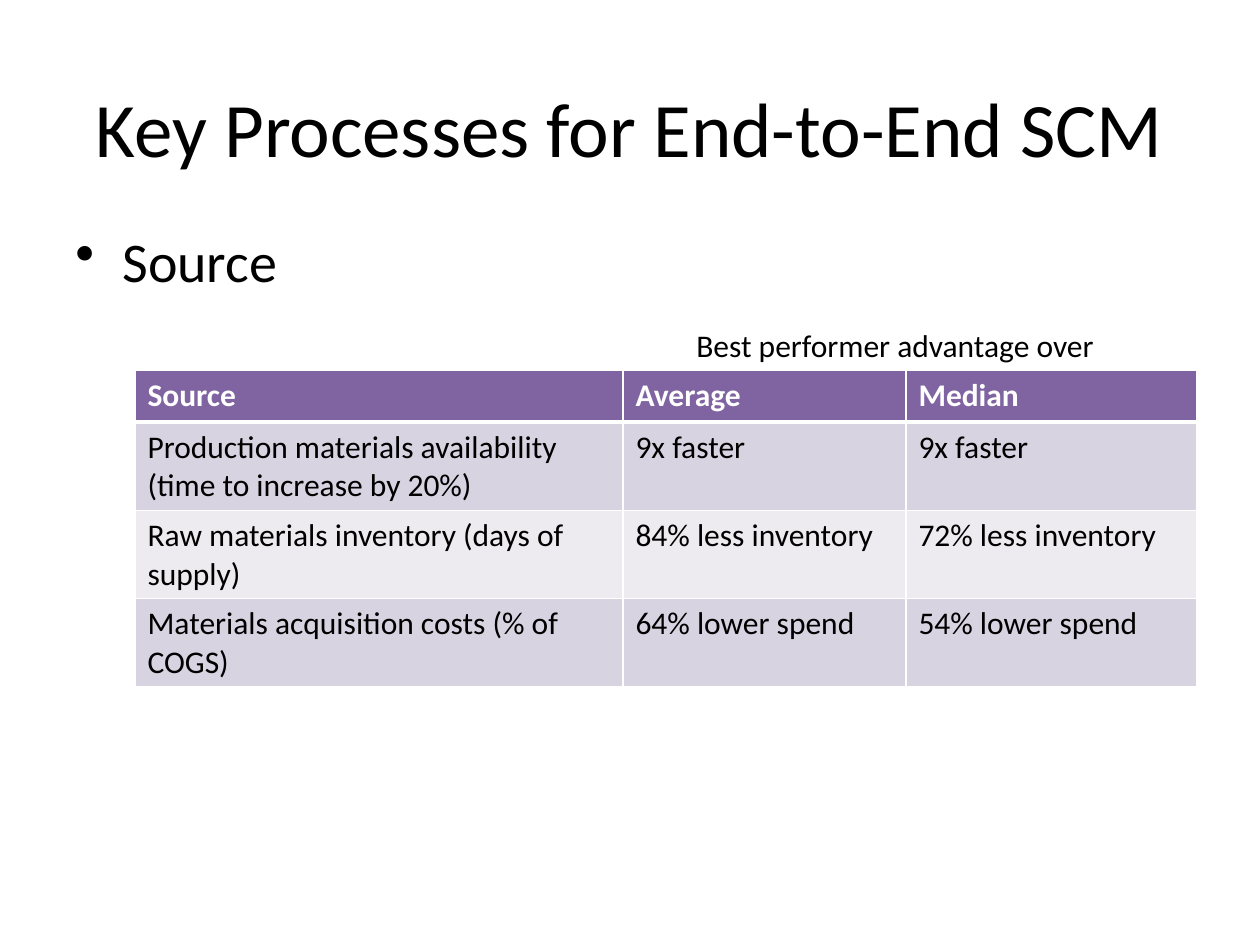
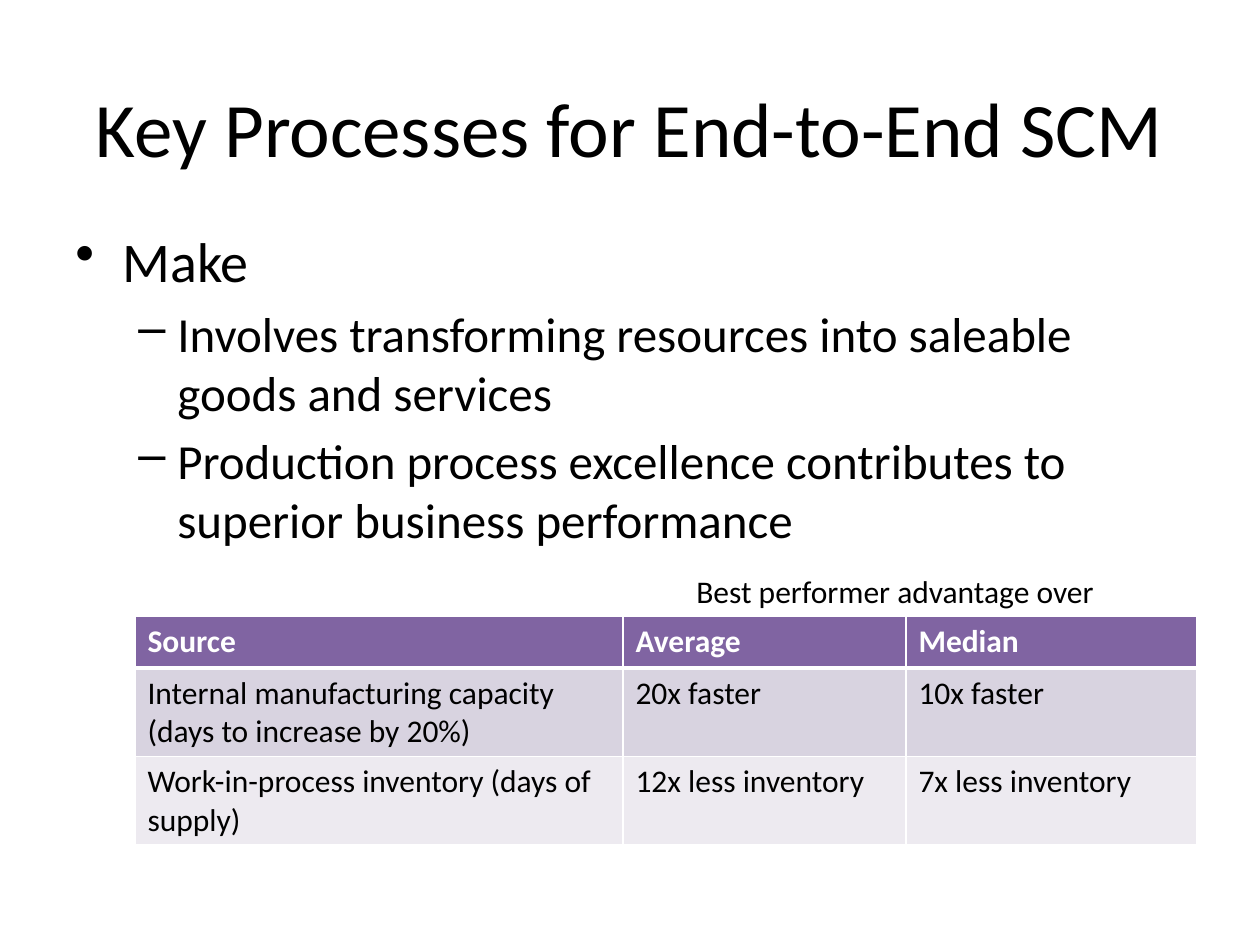
from lxml import etree
from pptx import Presentation
from pptx.dml.color import RGBColor
from pptx.enum import text
from pptx.oxml import ns
from pptx.util import Emu, Pt

PX = 914400 // 126
FONT = "Calibri"
BLACK, WHITE, PURPLE = "000000", "FFFFFF", "8064A2"
BANDS = ("D8D3E0", "EDEAF0")

TITLE = "Key Processes for End-to-End SCM"
CAPTION = "Best performer advantage over"
HEADER = ("Source", "Average", "Median")

# Outline entries are (level, wording).
SLIDES = [
    {
        "outline": [(0, "Source")],
        "table_top": 370,
        "rows": [
            ("Production materials availability (time to increase by 20%)", "9x faster", "9x faster"),
            ("Raw materials inventory (days of supply)", "84% less inventory", "72% less inventory"),
            ("Materials acquisition costs (% of COGS)", "64% lower spend", "54% lower spend"),
        ],
    },
    {
        "outline": [
            (0, "Make"),
            (1, "Involves transforming resources into saleable goods and services"),
            (1, "Production process excellence contributes to superior business performance"),
        ],
        "table_top": 616,
        "rows": [
            ("Internal manufacturing capacity (days to increase by 20%)", "20x faster", "10x faster"),
            ("Work-in-process inventory (days of supply)", "12x less inventory", "7x less inventory"),
        ],
    },
]

TITLE_BOX = (63, 48, 1134, 157)
OUTLINE_BOX = (63, 220, 1134, 624)
# Per outline level: bullet, text size in points, text indent and hanging indent in pixels.
LEVELS = (("\u2022", 32, 47, 47), ("\u2013", 28, 102, 39))
TABLE_LEFT, COLUMNS = 135, (488, 283, 291)
HEADER_HEIGHT, ROW_HEIGHT = 52, 88
CAPTION_LEFT, CAPTION_WIDTH, CAPTION_HEIGHT = 684, 446, 50


def px(*lengths):
    """Turn pixel lengths into EMU."""
    return [Emu(length * PX) for length in lengths]


def color(hex_value):
    """Turn a hex string into a colour."""
    return RGBColor.from_string(hex_value)


def style(paragraph, size, hex_value=BLACK, bold=False):
    """Set the font of a whole paragraph."""
    font = paragraph.font
    font.name, font.size, font.bold = FONT, Pt(size), bold
    font.color.rgb = color(hex_value)


def add_title(slide):
    """Place and format the title placeholder."""
    title = slide.shapes.title
    title.left, title.top, title.width, title.height = px(*TITLE_BOX)
    frame = title.text_frame
    frame.text = TITLE
    frame.vertical_anchor = text.MSO_ANCHOR.MIDDLE
    frame.paragraphs[0].alignment = text.PP_ALIGN.CENTER
    style(frame.paragraphs[0], 44)


def add_outline(slide, entries):
    """Add the bulleted outline under the title."""
    frame = slide.shapes.add_textbox(*px(*OUTLINE_BOX)).text_frame
    frame.word_wrap = True
    frame.text = "\n".join(wording for _, wording in entries)
    for paragraph, (level, _) in zip(frame.paragraphs, entries):
        bullet, size, indent, hanging = LEVELS[level]
        paragraph.level = level
        paragraph.space_before = Pt(size * 0.2)
        style(paragraph, size)
        properties = paragraph._p.get_or_add_pPr()
        properties.set("marL", str(indent * PX))
        properties.set("indent", str(-hanging * PX))
        mark = etree.Element(ns.qn("a:buChar"), char=bullet)
        properties.find(ns.qn("a:defRPr")).addprevious(mark)


def add_borders(cell, top, bottom):
    """Draw white cell borders; top and bottom widths are in points."""
    properties = cell._tc.get_or_add_tcPr()
    for side, width in (("L", 1), ("R", 1), ("T", top), ("B", bottom)):
        line = etree.SubElement(properties, ns.qn(f"a:ln{side}"), w=str(Pt(width)))
        fill = etree.SubElement(line, ns.qn("a:solidFill"))
        etree.SubElement(fill, ns.qn("a:srgbClr"), val=WHITE)


def add_comparison(slide, top, rows):
    """Add the banded table of advantages."""
    grid = [HEADER, *rows]
    heights = [HEADER_HEIGHT] + [ROW_HEIGHT] * len(rows)
    table = slide.shapes.add_table(
        len(grid), len(COLUMNS), *px(TABLE_LEFT, top, sum(COLUMNS), sum(heights))).table
    for column, width in zip(table.columns, px(*COLUMNS)):
        column.width = width
    for r, (wordings, height) in enumerate(zip(grid, px(*heights))):
        table.rows[r].height = height
        is_header = r == 0
        for c, wording in enumerate(wordings):
            cell = table.cell(r, c)
            cell.text = wording
            style(cell.text_frame.paragraphs[0], 18, WHITE if is_header else BLACK, is_header)
            add_borders(cell, 3 if r == 1 else 1, 3 if is_header else 1)
            cell.fill.solid()
            cell.fill.fore_color.rgb = color(PURPLE if is_header else BANDS[(r - 1) % 2])


def add_caption(slide, table_top):
    """Add the caption that sits on the table's value columns."""
    frame = slide.shapes.add_textbox(*px(
        CAPTION_LEFT, table_top - CAPTION_HEIGHT, CAPTION_WIDTH, CAPTION_HEIGHT)).text_frame
    frame.word_wrap = True
    frame.text = CAPTION
    style(frame.paragraphs[0], 18)


def main():
    """Build and save the presentation."""
    deck = Presentation()
    deck.slide_width, deck.slide_height = px(1260, 945)
    title_only = deck.slide_layouts[5]
    for content in SLIDES:
        slide = deck.slides.add_slide(title_only)
        add_title(slide)
        add_outline(slide, content["outline"])
        add_comparison(slide, content["table_top"], content["rows"])
        add_caption(slide, content["table_top"])
    deck.save("out.pptx")


main()
